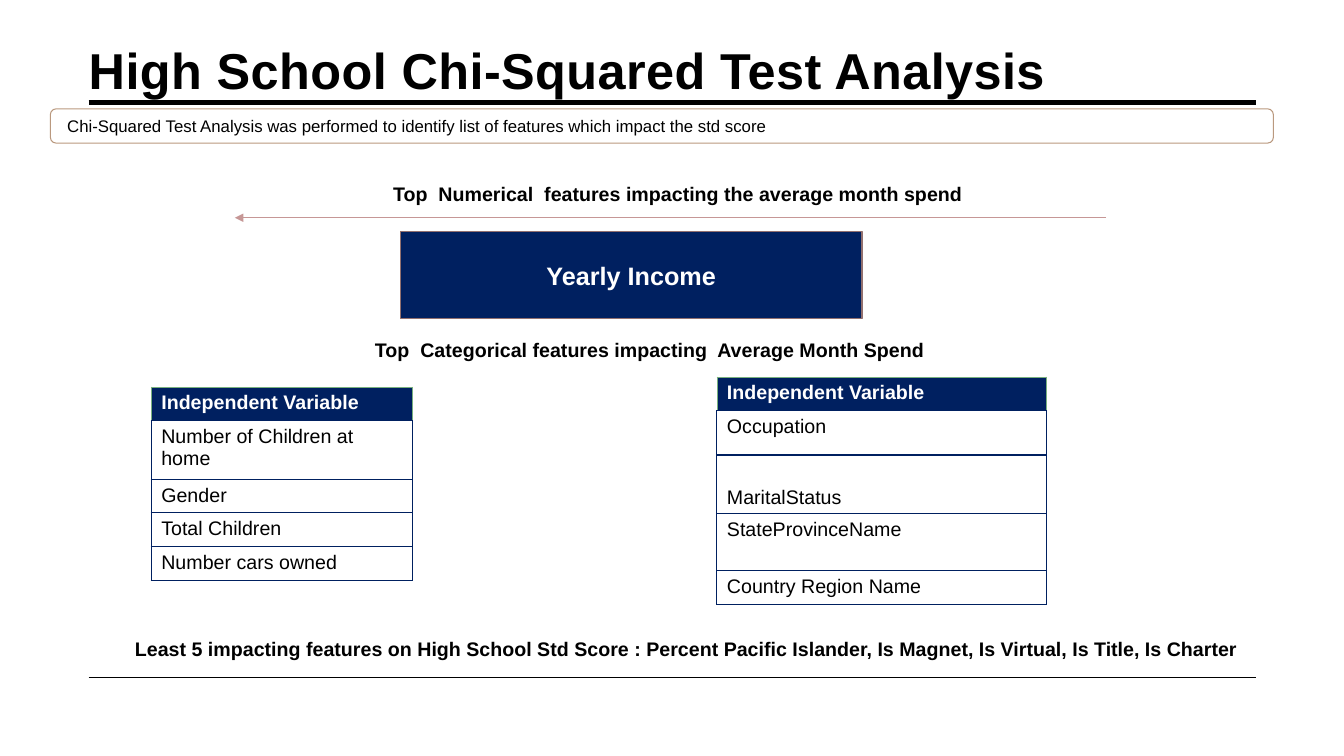
from lxml import etree
from pptx import Presentation
from pptx import util as u
from pptx.dml.color import RGBColor
from pptx.enum import shapes, text
from pptx.oxml.ns import qn

FONT = "Arial"
BLACK, WHITE, NAVY = "000000", "FFFFFF", "002060"
HEADER_EDGE = "78B07E"


def colour(value):
    return RGBColor.from_string(value)


def box_of(*lengths):
    return [u.Inches(length) for length in lengths]


def write(frame, words, size, bold=False, ink=BLACK, align=text.PP_ALIGN.LEFT):
    """Put one formatted paragraph in a text frame."""
    frame.word_wrap = True
    para = frame.paragraphs[0]
    para.text = words
    para.alignment = align
    para.font.name = FONT
    para.font.size = u.Pt(size)
    para.font.bold = bold
    para.font.color.rgb = colour(ink)
    return para


def add_line(page, start, end, ink, width, arrow=False):
    line = page.shapes.add_connector(
        shapes.MSO_CONNECTOR.STRAIGHT, *box_of(*start, *end))
    line.line.color.rgb = colour(ink)
    line.line.width = u.Pt(width)
    if arrow:
        etree.SubElement(line.line._get_or_add_ln(), qn("a:tailEnd"), type="triangle")
    etree.SubElement(line._element.spPr, qn("a:effectLst"))


def add_panel(page, kind, box, edge, width, fill=None):
    panel = page.shapes.add_shape(kind, *box_of(*box))
    panel.shadow.inherit = False
    if fill:
        panel.fill.solid()
        panel.fill.fore_color.rgb = colour(fill)
    else:
        panel.fill.background()
    panel.line.color.rgb = colour(edge)
    panel.line.width = u.Pt(width)
    panel.text_frame.vertical_anchor = text.MSO_ANCHOR.MIDDLE
    return panel


def add_caption(page, box, words):
    caption = page.shapes.add_textbox(*box_of(*box))
    write(caption.text_frame, words, 14, bold=True)


def set_borders(cell, is_header):
    properties = cell._tc.get_or_add_tcPr()
    for side in "LRTB":
        light = is_header and side != "B"
        width = u.Pt(0.5 if light else 1)
        edge = etree.SubElement(properties, qn(f"a:ln{side}"), w=str(int(width)))
        fill = etree.SubElement(edge, qn("a:solidFill"))
        etree.SubElement(fill, qn("a:srgbClr"), val=HEADER_EDGE if light else NAVY)


def add_feature_table(page, left, top, width, rows):
    """Draw a one-column table; rows holds (words, height, anchor)."""
    rows = [("Independent Variable", 0.33, text.MSO_ANCHOR.TOP)] + rows
    height = sum(row[1] for row in rows)
    table = page.shapes.add_table(
        len(rows), 1, *box_of(left, top, width, height)).table
    table.horz_banding = False
    for index, (words, row_height, anchor) in enumerate(rows):
        is_header = index == 0
        table.rows[index].height = u.Inches(row_height)
        cell = table.cell(index, 0)
        set_borders(cell, is_header)
        cell.vertical_anchor = anchor
        if is_header:
            cell.fill.solid()
            cell.fill.fore_color.rgb = colour(NAVY)
        else:
            cell.fill.background()
        write(cell.text_frame, words, 14, is_header, WHITE if is_header else BLACK)


def add_heading(page, left, top, width):
    """Title, its rule and the summary banner."""
    title = page.shapes.title
    title.left, title.top, title.width, title.height = box_of(
        left - 0.1, top, 11, 0.69)
    frame = title.text_frame
    frame.auto_size = text.MSO_AUTO_SIZE.NONE
    frame.vertical_anchor = text.MSO_ANCHOR.BOTTOM
    frame.margin_bottom = u.Inches(0.01)
    para = write(frame, "High School Chi-Squared Test Analysis", 36, bold=True)
    para.runs[0]._r.get_or_add_rPr().set("spc", "30")
    add_line(page, (left, top + 0.71), (left + width, top + 0.71), BLACK, 3.5)

    banner = add_panel(page, shapes.MSO_SHAPE.ROUNDED_RECTANGLE,
                       (left - 0.38, top + 0.77, 12.13, 0.34), "BA997F", 0.75)
    banner.text_frame.margin_left = u.Inches(0.15)
    write(banner.text_frame, "Chi-Squared Test Analysis was performed to identify "
          "list of features which impact the std score", 12)


def add_numerical(page, left, top, width):
    """Caption, arrow and the single numerical feature."""
    add_caption(page, (left + 1.47, top, 6.26, 0.34),
                "Top  Numerical  features impacting the average month spend")
    add_line(page, (left + width, top + 0.4), (left, top + 0.4), "C69796", 0.5, True)
    income = add_panel(page, shapes.MSO_SHAPE.RECTANGLE,
                       (left + 1.64, top + 0.54, 4.58, 0.86), "92706F", 1, NAVY)
    write(income.text_frame, "Yearly Income", 18, True, WHITE, text.PP_ALIGN.CENTER)


def add_categorical(page, left, top):
    """Caption and the two tables of categorical features."""
    upper, lower = text.MSO_ANCHOR.TOP, text.MSO_ANCHOR.BOTTOM
    add_caption(page, (left + 2.12, top, 5.87, 0.34),
                "Top  Categorical features impacting  Average Month Spend")
    add_feature_table(page, left, top + 0.54, 2.59, [
        ("Number of Children at home", 0.58, upper),
        ("Gender", 0.33, upper),
        ("Total Children", 0.33, upper),
        ("Number cars owned", 0.33, upper)])
    add_feature_table(page, left + 5.61, top + 0.44, 3.27, [
        ("Occupation", 0.44, upper),
        ("MaritalStatus", 0.58, lower),
        ("StateProvinceName", 0.57, upper),
        ("Country Region Name", 0.33, upper)])


def add_footer(page, left, top, width):
    """Closing statement and bottom rule."""
    add_caption(page, (left + 0.36, top, 11.74, 0.34),
                "Least 5 impacting features on High School Std Score : Percent "
                "Pacific Islander, Is Magnet, Is Virtual, Is Title, Is Charter")
    add_line(page, (left, top + 0.45), (left + width, top + 0.45), BLACK, 1)


def main():
    deck = Presentation()
    deck.slide_width, deck.slide_height = box_of(13.33, 7.5)
    page = deck.slides.add_slide(deck.slide_layouts.get_by_name("Title Only"))
    add_heading(page, 0.88, 0.31, 11.58)
    add_numerical(page, 2.33, 1.76, 8.64)
    add_categorical(page, 1.5, 3.3)
    add_footer(page, 0.88, 6.27, 11.58)
    deck.save("out.pptx")


if __name__ == "__main__":
    main()
